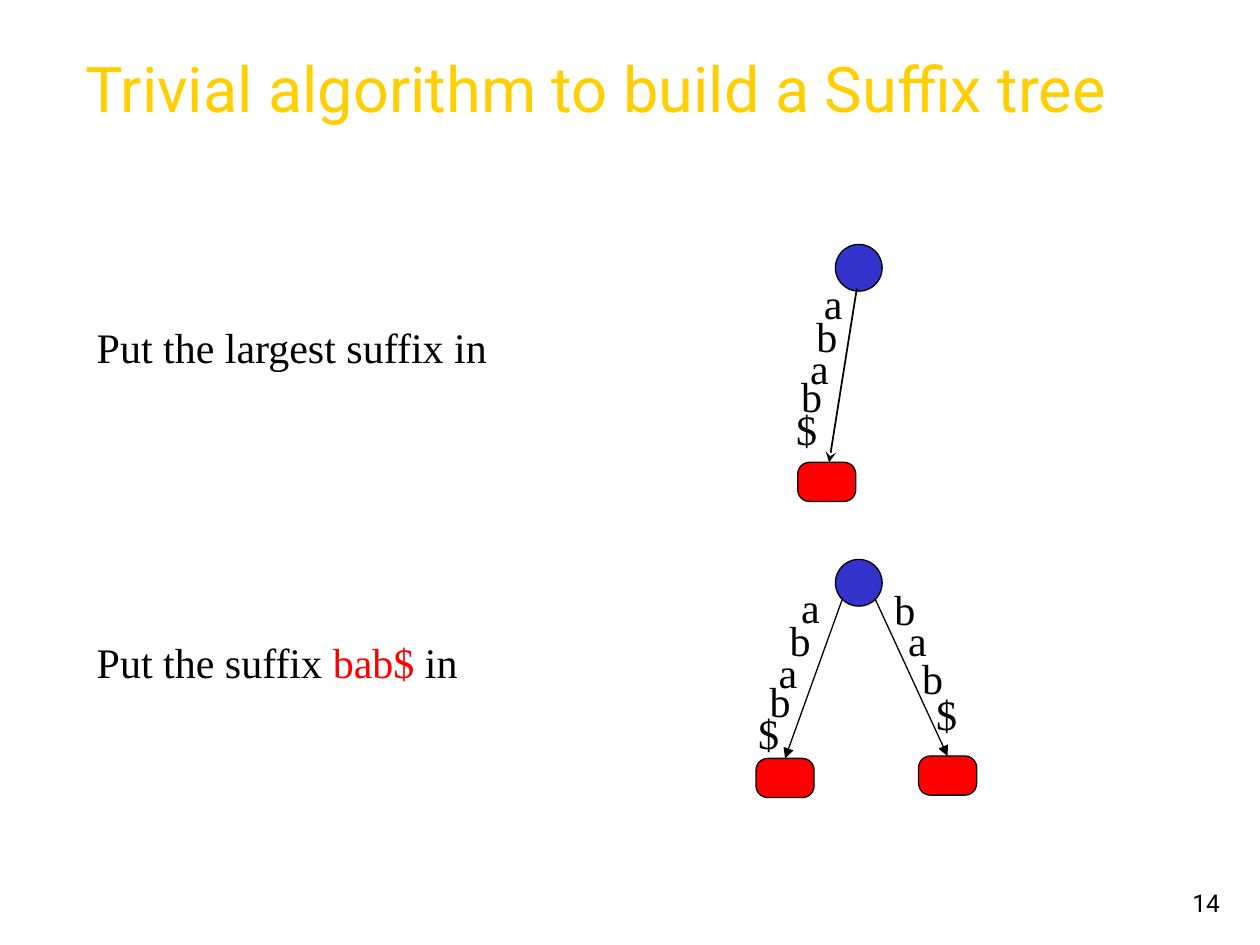
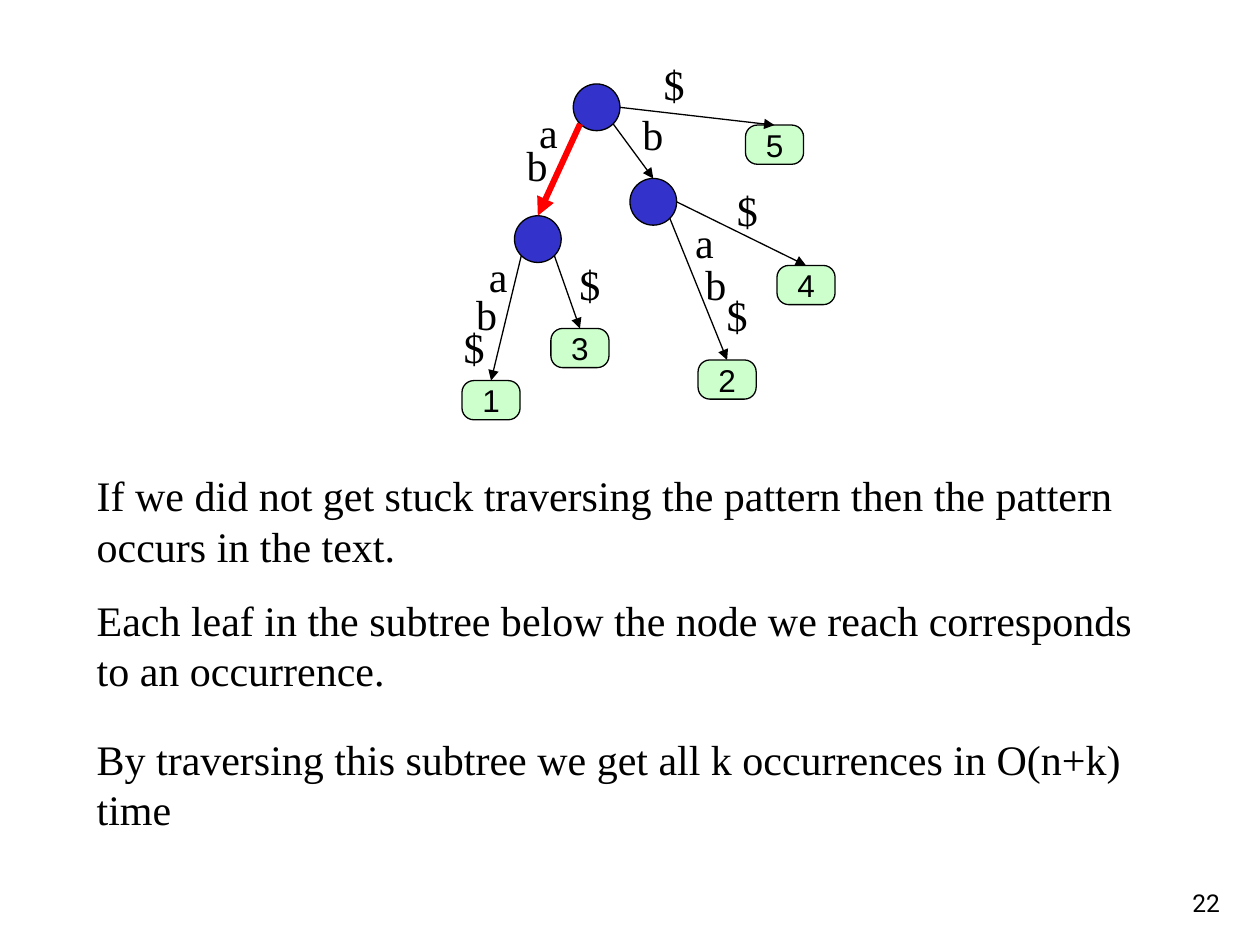
from dataclasses import dataclass
from math import sqrt

from lxml.etree import SubElement
from pptx import Presentation
from pptx.dml.color import RGBColor
from pptx.enum.shapes import MSO_CONNECTOR, MSO_SHAPE
from pptx.enum.text import MSO_ANCHOR, PP_ALIGN
from pptx.oxml.ns import qn
from pptx.util import Pt


@dataclass(frozen=True)
class Theme:
    ink: str = "000000"
    title: str = "FFCF01"
    accent: str = "FF0000"
    node: str = "3333CC"
    new_leaf: str = "FF0000"
    numbered_leaf: str = "CCFFCC"
    heading_font: str = "Roboto"
    body_font: str = "Times New Roman"
    leaf_font: str = "Arial"
    title_size: float = 36
    body_size: float = 24
    leaf_size: float = 18
    number_size: float = 14
    outline: float = 0.75
    node_size: float = 26.7
    leaf_width: float = 33.2
    leaf_height: float = 22.4


@dataclass(frozen=True)
class Frame:
    """Place of a tree element, with the points where edges meet it."""
    left: float
    top: float
    width: float
    height: float

    def on_rim(self, across, down):
        return (self.left + self.width * (1 + across) / 2,
                self.top + self.height * (1 + down) / 2)

    @property
    def head(self):
        return self.on_rim(0, -1)

    @property
    def right(self):
        return self.on_rim(1, 0)

    @property
    def lower_left(self):
        return self.on_rim(-1 / sqrt(2), 1 / sqrt(2))

    @property
    def lower_right(self):
        return self.on_rim(1 / sqrt(2), 1 / sqrt(2))


class TreeDeck:
    def __init__(self, theme):
        self.theme = theme
        self.deck = Presentation()
        self.deck.slide_width, self.deck.slide_height = Pt(720), Pt(540)
        self.slide = None

    def new_slide(self, number):
        theme = self.theme
        self.slide = self.deck.slides.add_slide(self.deck.slide_layouts[6])
        self.text(554.4, 491.8, 149.8, 36, [(str(number), theme.ink)],
                  theme.heading_font, theme.number_size,
                  MSO_ANCHOR.BOTTOM, PP_ALIGN.RIGHT)

    # Text
    def text(self, left, top, width, height, spans, font, size,
             anchor=MSO_ANCHOR.TOP, align=PP_ALIGN.LEFT):
        box = self.slide.shapes.add_textbox(Pt(left), Pt(top), Pt(width), Pt(height))
        frame = box.text_frame
        frame.word_wrap = True
        frame.vertical_anchor = anchor
        para = frame.paragraphs[0]
        para.alignment = align
        for words, color in spans:
            span = para.add_run()
            span.text = words
            self.style(span.font, font, size, color)

    def style(self, font, name, size, color):
        font.name, font.size = name, Pt(size)
        font.color.rgb = RGBColor.from_string(color)

    def title(self, words):
        theme = self.theme
        self.text(41.8, 16.6, 653.8, 67, [(words, theme.title)],
                  theme.heading_font, theme.title_size, MSO_ANCHOR.MIDDLE)

    def body(self, top, width, height, *spans):
        self.text(48.2, top, width, height, spans,
                  self.theme.body_font, self.theme.body_size)

    def edge_label(self, letters, *corners):
        """Place the letters of one edge, one at each corner."""
        for letter, (left, top) in zip(letters, corners):
            self.text(left, top, 30.2, 36, [(letter, self.theme.ink)],
                      self.theme.body_font, self.theme.body_size)

    # Tree elements
    def shape(self, kind, frame, fill):
        shape = self.slide.shapes.add_shape(
            kind, Pt(frame.left), Pt(frame.top), Pt(frame.width), Pt(frame.height))
        shape.shadow.inherit = False
        shape.fill.solid()
        shape.fill.fore_color.rgb = RGBColor.from_string(fill)
        shape.line.color.rgb = RGBColor.from_string(self.theme.ink)
        shape.line.width = Pt(self.theme.outline)
        return shape

    def node(self, left, top):
        frame = Frame(left, top, self.theme.node_size, self.theme.node_size)
        self.shape(MSO_SHAPE.OVAL, frame, self.theme.node)
        return frame

    def leaf(self, left, top, number=None):
        theme = self.theme
        frame = Frame(left, top, theme.leaf_width, theme.leaf_height)
        fill = theme.numbered_leaf if number else theme.new_leaf
        shape = self.shape(MSO_SHAPE.ROUNDED_RECTANGLE, frame, fill)
        shape.adjustments[0] = 0.3
        if number:
            content = shape.text_frame
            content.text = str(number)
            content.word_wrap = False
            content.vertical_anchor = MSO_ANCHOR.MIDDLE
            para = content.paragraphs[0]
            para.alignment = PP_ALIGN.CENTER
            self.style(para.runs[0].font, theme.leaf_font, theme.leaf_size, theme.ink)
        return frame

    def edge(self, start, end, color=None, weight=None, arrow="triangle"):
        line = self.slide.shapes.add_connector(
            MSO_CONNECTOR.STRAIGHT, *(Pt(value) for value in (*start, *end)))
        line.line.color.rgb = RGBColor.from_string(color or self.theme.ink)
        line.line.width = Pt(weight or self.theme.outline)
        properties = line._element.spPr
        SubElement(properties.find(qn("a:ln")), qn("a:tailEnd"), type=arrow)
        SubElement(properties, qn("a:effectLst"))


def build_algorithm_slide(tree):
    theme = tree.theme
    tree.new_slide(14)
    tree.title("Trivial algorithm to build a Suffix tree")

    # First step: one suffix
    tree.body(180, 275.8, 36, ("Put the largest suffix in", theme.ink))
    tree.node(477.4, 139.7)
    tree.leaf(455.8, 264.2)
    tree.edge((489.6, 164.9), (473.8, 264.2), weight=1, arrow="stealth")
    tree.edge_label("abab$", (463.7, 154.8), (459.4, 174.2), (455.8, 192.2),
                    (450.7, 208.1), (447.8, 226.8))

    # Second step: two suffixes
    tree.body(360, 275.8, 36, ("Put the suffix ", theme.ink),
              ("bab$", theme.accent), (" in", theme.ink))
    root = tree.node(477.4, 319.7)
    tree.edge(root.lower_left, tree.leaf(432, 433.4).head)
    tree.edge(root.lower_right, tree.leaf(524.9, 432).head)
    tree.edge_label("abab$", (450.7, 329), (444.2, 347.8), (437.8, 365.8),
                    (432.7, 382.3), (426.2, 401))
    tree.edge_label("bab$", (504, 329.8), (511.9, 347.8), (519.8, 369.4),
                    (527.8, 390.2))


def build_search_slide(tree):
    theme = tree.theme
    tree.new_slide(22)

    # Nodes and edges, with the matched edge in the accent colour
    root = tree.node(327.6, 48)
    ab_node = tree.node(294, 123.3)
    b_node = tree.node(360, 102)
    tree.edge(root.lower_left, ab_node.head, theme.accent, 3.5)
    tree.edge(root.lower_right, b_node.head)
    tree.edge(ab_node.lower_left, tree.leaf(264, 217.5, 1).head)
    tree.edge(b_node.lower_right, tree.leaf(398.9, 205.7, 2).head)
    tree.edge(ab_node.lower_right, tree.leaf(314.8, 187.7, 3).head)
    tree.edge(b_node.right, tree.leaf(444, 151.7, 4).head)
    tree.edge(root.right, tree.leaf(426, 71.5, 5).head)

    # Edge labels
    tree.edge_label("ab", (301, 57.6), (293.8, 76.3))
    tree.edge_label("ab$", (272.2, 139.7), (265, 161.3), (257.8, 180))
    tree.edge_label("ab$", (390.2, 120.2), (396, 144), (408.2, 162))
    tree.edge_label("b", (360, 58.3))
    tree.edge_label("$$$", (324, 144), (414, 102.2), (372.2, 30.2))

    # Conclusions
    for top, words in (
        (265, "If we did not get stuck traversing the pattern then the pattern "
              "occurs in the text."),
        (336.2, "Each leaf in the subtree below the node we reach corresponds "
                "to an occurrence."),
        (415.4, "By traversing this subtree we get all k occurrences in O(n+k) time"),
    ):
        tree.body(top, 612, 64.8, (words, theme.ink))


def main():
    tree = TreeDeck(Theme())
    build_algorithm_slide(tree)
    build_search_slide(tree)
    tree.deck.save("out.pptx")


if __name__ == "__main__":
    main()
